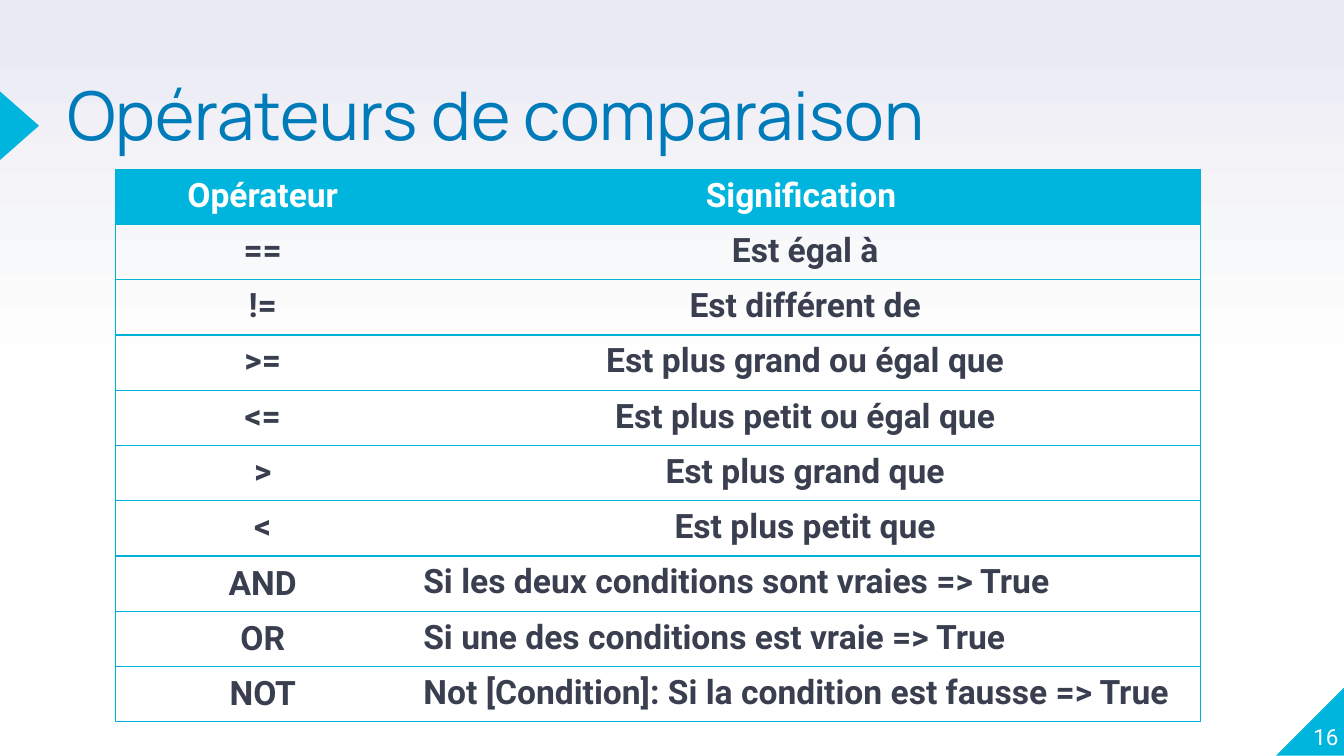
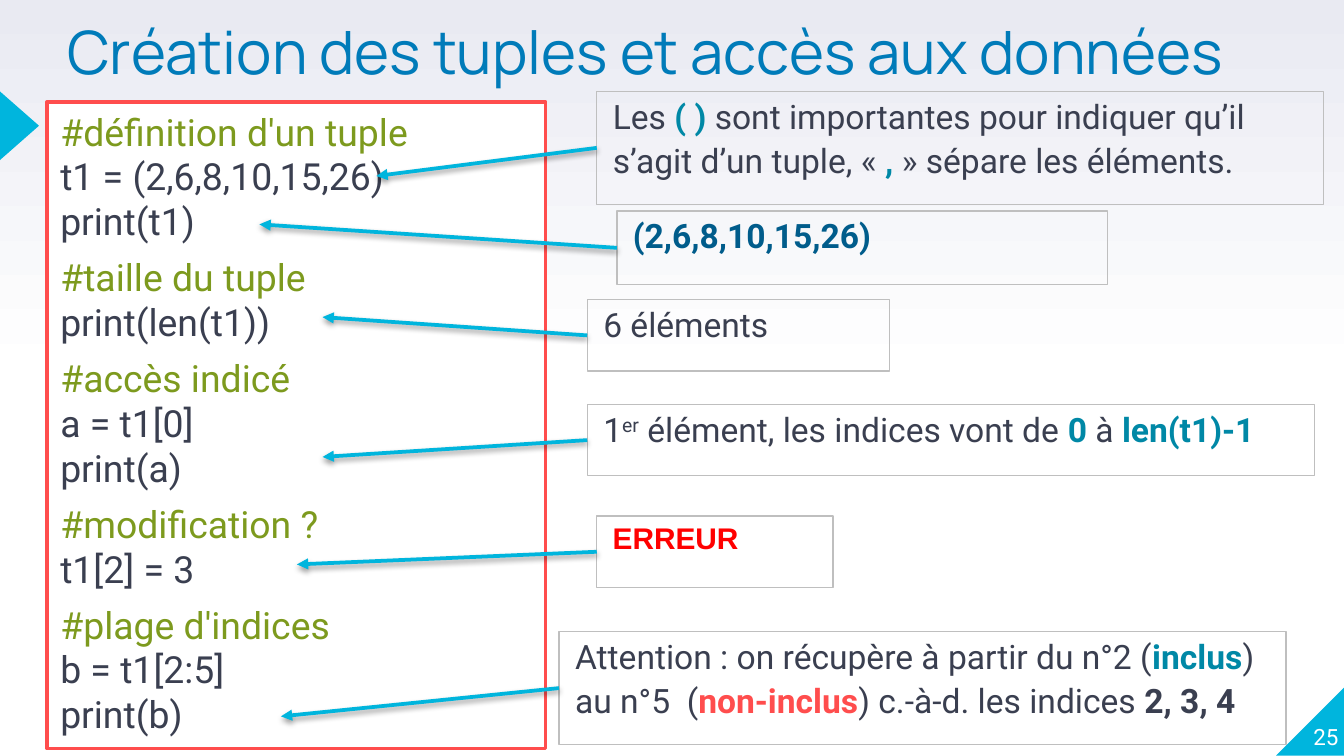
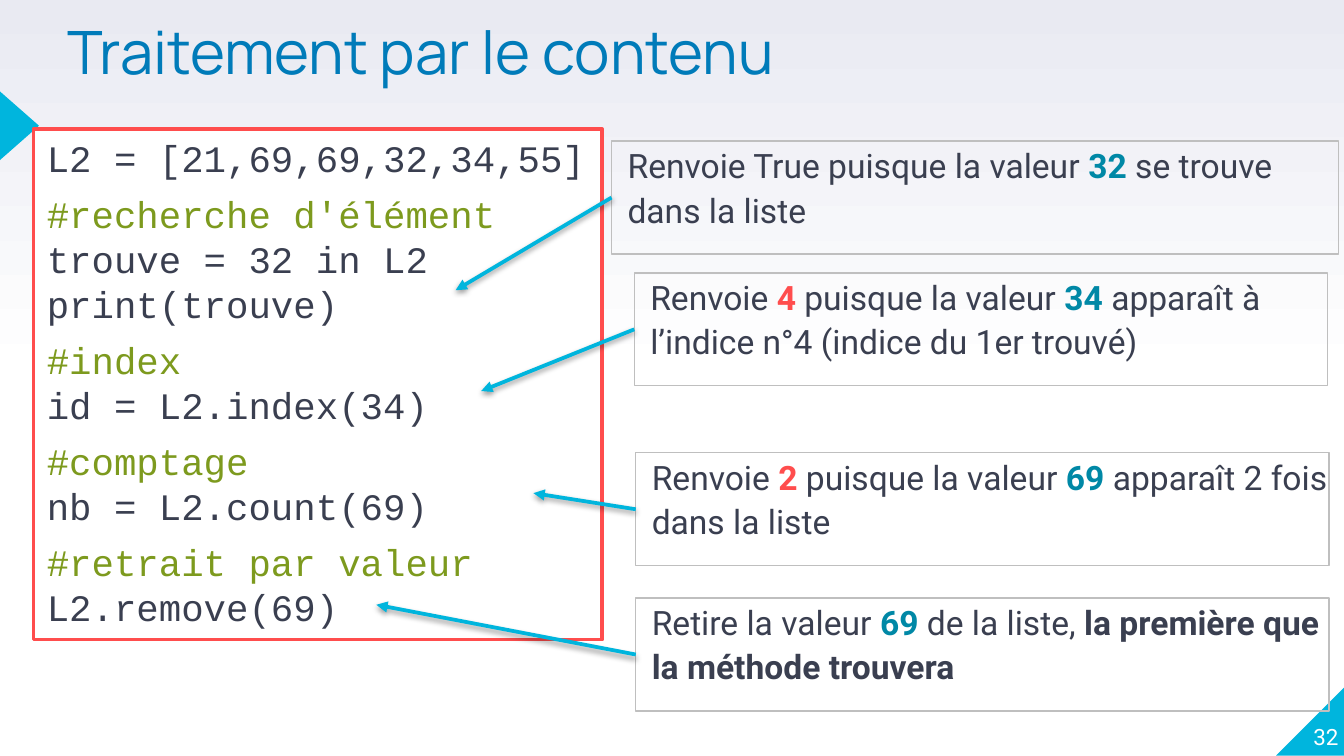
from lxml.etree import SubElement
from pptx import Presentation
from pptx.dml.color import RGBColor
from pptx.enum.shapes import MSO_CONNECTOR, MSO_SHAPE
from pptx.enum.text import MSO_ANCHOR, MSO_AUTO_SIZE, PP_ALIGN
from pptx.oxml.ns import qn
from pptx.util import Pt

THEME = {
    "title": {"name": "Manrope", "color": "007BB9"},
    "number": {"name": "Roboto", "size": 12, "color": "FFFFFF"},
    "header": {"name": "Roboto", "size": 18, "color": "FFFFFF", "bold": True},
    "cell": {"name": "Roboto", "size": 18, "color": "3A3F50", "bold": True},
    "plain": {"name": "Roboto", "size": 18, "color": "3A3F50"},
    "sup": {"name": "Roboto", "size": 18, "color": "3A3F50"},
    "strong": {"name": "Roboto", "size": 18, "color": "3A3F50", "bold": True},
    "key": {"name": "Roboto", "size": 18, "color": "0088A6", "bold": True},
    "alert": {"name": "Roboto", "size": 18, "color": "FF4D4D", "bold": True},
    "output": {"name": "Roboto", "size": 18, "color": "005C8B", "bold": True},
    "error": {"name": "Arial", "size": 16, "color": "FF0000", "bold": True},
    "code": {"size": 20, "color": "3A3F50"},
    "comment": {"size": 20, "color": "7D9A1E"},
    "accent": "00B5DD",
    "grid": "00B1D8",
    "note_line": "BFBFBF",
    "code_line": "FF4D4D",
    "paper": "FFFFFF",
    "sky": "E9EAF2",
}
NO_STYLE = "{2D5ABB26-0587-4C30-8999-92F81FD0307C}"
NO_INSETS = dict.fromkeys(("margin_left", "margin_top", "margin_right", "margin_bottom"), 0)

OPERATORS = {
    "title": "Opérateurs de comparaison", "number": "16", "title_top": 47.5, "title_size": 36,
    "box": (61.9, 90.7, 581.2, 296), "columns": (157.7, 423.5),
    "rows": [
        ("Opérateur", "Signification "),
        ("==", "Est égal à"),
        ("!=", "Est différent de"),
        (">=", "Est plus grand ou égal que"),
        ("<=", "Est plus petit ou égal que"),
        (">", "Est plus grand que"),
        ("<", "Est plus petit que"),
        ("AND", "Si les deux conditions sont vraies => True"),
        ("OR", "Si une des conditions est vraie => True"),
        ("NOT", "Not [Condition]: Si la condition est fausse => True"),
    ],
}

TUPLES = {
    "title": "Création des tuples et accès aux données", "number": "25",
    "title_top": 15.1, "title_size": 32,
    "code_box": (25.2, 54.7, 267.1, 346.3), "code_font": "Roboto",
    "code": [
        ["#définition d'un tuple", "t1 = (2,6,8,10,15,26)", "print(t1)"],
        ["#taille du tuple", "print(len(t1))"],
        ["#accès indicé", "a = t1[0]", "print(a)"],
        ["#modification ?", "t1[2] = 3"],
        ["#plage d'indices", "b = t1[2:5]", "print(b)"],
    ],
    "notes": [
        ((319.7, 49, 389.5, 60.5), (201.6, 94.3), [
            ("Les", "plain"), (" ( ) ", "key"),
            ("sont importantes pour indiquer qu’il s’agit d’un tuple, «", "plain"),
            (" , ", "key"), ("» sépare les éléments.", "plain")]),
        ((330.5, 113, 262.8, 39.6), (139, 120.2), [("(2,6,8,10,15,26)", "output")]),
        ((314.6, 160.6, 162, 38.2), (172.8, 169.9), [("6 éléments", "plain")]),
        ((314.6, 216.7, 389.5, 38.2), (172.8, 244.8), [
            ("1", "plain"), ("er", "sup"), (" élément, les indices vont de ", "plain"),
            ("0 ", "key"), ("à ", "plain"), ("len(t1)-1", "key")]),
        ((319.7, 276.5, 126.7, 38.2), (159.1, 302.4), [("ERREUR", "error")]),
        ((299.5, 338.4, 389.5, 60.5), (150.5, 383.8), [
            ("Attention : on récupère à partir du n°2 (", "plain"), ("inclus", "key"),
            (") au n°5  (", "plain"), ("non-inclus", "alert"),
            (") c.-à-d. les indices ", "plain"), ("2, 3, 4", "strong")]),
    ],
}

CONTENT = {
    "title": "Traitement par le contenu", "number": "32", "title_top": 15.1, "title_size": 32,
    "code_box": (18, 69.1, 304.6, 273.6), "code_font": "Courier New",
    "code": [
        ["L2 = [21,69,69,32,34,55]"],
        ["#recherche d'élément", "trouve = 32 in L2", "print(trouve)"],
        ["#index", "id = L2.index(34)"],
        ["#comptage", "nb = L2.count(69)"],
        ["#retrait par valeur", "L2.remove(69)"],
    ],
    "notes": [
        ((327.6, 75.6, 389.5, 60.5), (244.1, 155.5), [
            ("Renvoie True puisque la valeur ", "plain"), ("32", "key"),
            (" se trouve dans la liste", "plain")]),
        ((339.8, 146.2, 371.5, 60.5), (257.8, 209.5), [
            ("Renvoie ", "plain"), ("4", "alert"), (" puisque la valeur ", "plain"),
            ("34", "key"), (" apparaît à l’indice n°4 (indice du 1er trouvé)", "plain")]),
        ((340.6, 242.6, 371.5, 60.5), (285.8, 264.2), [
            ("Renvoie ", "plain"), ("2", "alert"), (" puisque la valeur ", "plain"),
            ("69", "key"), (" apparaît 2 fois dans la liste", "plain")]),
        ((340.6, 320.4, 371.5, 60.5), (201.6, 324), [
            ("Retire la valeur ", "plain"), ("69", "key"), (" de la liste, ", "plain"),
            ("la première que la méthode trouvera", "strong")]),
    ],
}


def rgb(value):
    return RGBColor.from_string(value)


def apply(obj, formats):
    for key, value in formats.items():
        setattr(obj, key, value)


def add_run(p, text, style, **extra):
    r = p.add_run()
    r.text = text
    for key, value in {**THEME[style], **extra}.items():
        if key == "color":
            r.font.color.rgb = rgb(value)
        else:
            setattr(r.font, key, Pt(value) if key == "size" else value)
    if style == "sup":
        r.font._element.set("baseline", "30000")


def add_box(s, kind, box, fill=None, line=None, width=0.75):
    sp = s.shapes.add_shape(kind, *map(Pt, box))
    sp.shadow.inherit = False
    for part, color in ((sp.fill, fill), (sp.line.fill, line)):
        if color:
            part.solid()
            part.fore_color.rgb = rgb(color)
        else:
            part.background()
    if line:
        sp.line.width = Pt(width)
    return sp


def add_text(s, box, text, style, anchor, formats, **extra):
    tf = s.shapes.add_textbox(*map(Pt, box)).text_frame
    apply(tf, {**NO_INSETS, "word_wrap": True, "vertical_anchor": anchor})
    p = tf.paragraphs[0]
    apply(p, formats)
    add_run(p, text, style, **extra)


def add_base(prs, data):
    s = prs.slides.add_slide(prs.slide_layouts[6])
    fill = s.background.fill
    fill.gradient()
    fill.gradient_angle = 90
    for stop, position, color in zip(fill.gradient_stops, (0.5, 1), ("paper", "sky")):
        stop.position = position
        stop.color.rgb = rgb(THEME[color])
    corner = add_box(s, MSO_SHAPE.RIGHT_TRIANGLE, (683.6, 368.2, 36.6, 36.6), THEME["accent"])
    corner._element.spPr.xfrm.set("flipH", "1")
    marker = add_box(s, MSO_SHAPE.ISOSCELES_TRIANGLE, (-7.9, 56.9, 36.7, 20.9), THEME["accent"])
    marker.rotation = 90
    add_text(s, (36, data["title_top"], 675.4, 85), data["title"], "title", MSO_ANCHOR.TOP,
             {"line_spacing": 0.8}, size=data["title_size"])
    add_text(s, (681.1, 365, 36, 36.7), data["number"], "number", MSO_ANCHOR.BOTTOM,
             {"alignment": PP_ALIGN.RIGHT})
    return s


def add_borders(cell, sides):
    tc_pr = cell._tc.get_or_add_tcPr()
    for i, side in enumerate(sides):
        ln = SubElement(tc_pr, qn(f"a:ln{side}"), w=str(Pt(0.75)))
        fill = SubElement(ln, qn("a:solidFill"))
        SubElement(fill, qn("a:srgbClr"), val=THEME["grid"])
        tc_pr.insert(i, ln)


def add_operators(s, data):
    rows = data["rows"]
    frame = s.shapes.add_table(len(rows), len(data["columns"]), *map(Pt, data["box"]))
    table = frame.table
    apply(table, {"first_row": False, "horz_banding": False})
    table._tbl.tblPr.find(qn("a:tableStyleId")).text = NO_STYLE
    for column, width in zip(table.columns, data["columns"]):
        column.width = Pt(width)
    for i, row in enumerate(rows):
        table.rows[i].height = Pt(data["box"][3] / len(rows))
        is_logic = row[0].isalpha() and i > 0
        for j, text in enumerate(row):
            cell = table.cell(i, j)
            if i:
                cell.fill.background()
            else:
                cell.fill.solid()
                cell.fill.fore_color.rgb = rgb(THEME["accent"])
            cell.vertical_anchor = MSO_ANCHOR.MIDDLE if is_logic and j == 0 else MSO_ANCHOR.TOP
            p = cell.text_frame.paragraphs[0]
            p.alignment = PP_ALIGN.LEFT if is_logic and j else PP_ALIGN.CENTER
            add_run(p, text, "cell" if i else "header")
            add_borders(cell, ("R" if j else "L") + "TB")


def add_code(s, data):
    sp = add_box(s, MSO_SHAPE.RECTANGLE, data["code_box"], THEME["paper"], THEME["code_line"], 2)
    tf = sp.text_frame
    apply(tf, {"word_wrap": True, "vertical_anchor": MSO_ANCHOR.TOP,
               "auto_size": MSO_AUTO_SIZE.SHAPE_TO_FIT_TEXT})
    lines = [(text, text is block[-1]) for block in data["code"] for text in block]
    for i, (text, is_last) in enumerate(lines):
        p = tf.add_paragraph() if i else tf.paragraphs[0]
        apply(p, {"alignment": PP_ALIGN.LEFT, "space_after": Pt(6 if is_last else 0)})
        add_run(p, text, "comment" if text.startswith("#") else "code", name=data["code_font"])


def add_note(s, box, runs):
    sp = add_box(s, MSO_SHAPE.RECTANGLE, box, line=THEME["note_line"])
    tf = sp.text_frame
    apply(tf, {**NO_INSETS, "word_wrap": True, "vertical_anchor": MSO_ANCHOR.TOP})
    p = tf.paragraphs[0]
    apply(p, {"alignment": PP_ALIGN.LEFT, "line_spacing": 1.1, "space_before": Pt(6)})
    p._p.get_or_add_pPr().set("marL", str(Pt(8.6)))
    for text, style in runs:
        add_run(p, text, style)
    return sp


def add_arrow(s, note, target):
    x, y = map(Pt, target)
    cx = s.shapes.add_connector(MSO_CONNECTOR.STRAIGHT, note.left, note.top, x, y)
    cx.begin_connect(note, 1)
    cx.line.color.rgb = rgb(THEME["accent"])
    cx.line.width = Pt(2)
    SubElement(cx.line._get_or_add_ln(), qn("a:tailEnd"), type="triangle")
    effects = SubElement(cx._element.spPr, qn("a:effectLst"))
    shadow = SubElement(effects, qn("a:outerShdw"), blurRad=str(Pt(3.1)), dist=str(Pt(1.6)),
                        dir="5400000", rotWithShape="0")
    color = SubElement(shadow, qn("a:srgbClr"), val="000000")
    SubElement(color, qn("a:alpha"), val="38000")


def main():
    prs = Presentation()
    apply(prs, {"slide_width": Pt(720), "slide_height": Pt(405)})
    add_operators(add_base(prs, OPERATORS), OPERATORS)
    for data in (TUPLES, CONTENT):
        s = add_base(prs, data)
        add_code(s, data)
        notes = [(add_note(s, box, runs), target) for box, target, runs in data["notes"]]
        for note, target in notes:
            add_arrow(s, note, target)
    prs.save("out.pptx")


if __name__ == "__main__":
    main()
